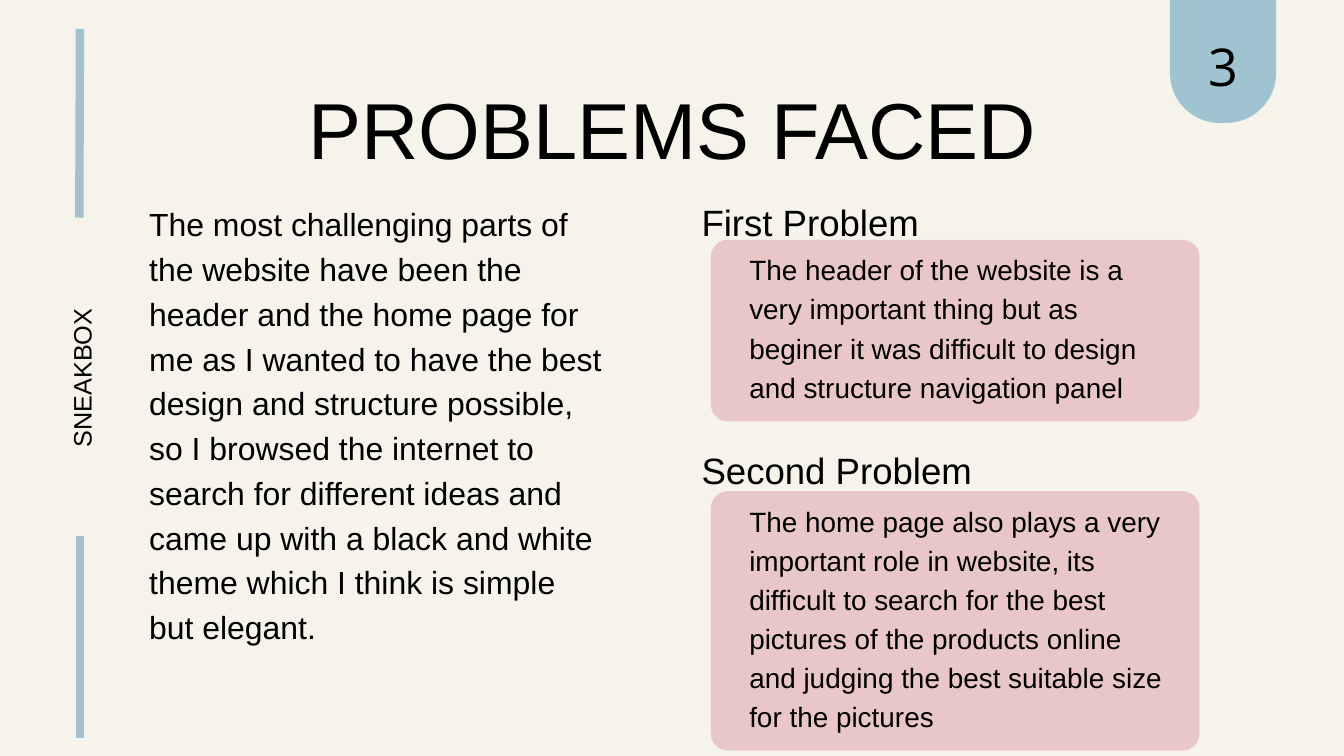
from lxml import etree
from pptx import Presentation
from pptx import util as u
from pptx.dml.color import RGBColor
from pptx.enum import shapes, text
from pptx.oxml.ns import qn

COLORS = {"paper": "F6F3EB", "ink": "000000", "rose": "E9C7C6", "blue": "9FC3D0"}
COLUMNS, ROWS = 20, 11.25
CELL = u.Inches(1)
LEFT, CENTER = text.PP_ALIGN.LEFT, text.PP_ALIGN.CENTER


def cells(*counts):
    return [u.Emu(round(count * CELL)) for count in counts]


def color(name):
    return RGBColor.from_string(COLORS[name])


def add_text(page, box, words, size, leading, align=LEFT, font="Arial", turn=0):
    label = page.shapes.add_textbox(*cells(*box))
    label.rotation = turn
    frame = label.text_frame
    frame.word_wrap = True
    frame.margin_left = frame.margin_right = frame.margin_top = frame.margin_bottom = 0
    para = frame.paragraphs[0]
    para.alignment = align
    para.line_spacing = u.Pt(leading)
    span = para.add_run()
    span.text = words
    span.font.name = font
    span.font.size = u.Pt(size)
    span.font.color.rgb = color("ink")


def add_panel(page, box, kind, fill, *adjustments):
    panel = page.shapes.add_shape(kind, *cells(*box))
    panel.shadow.inherit = False
    panel.fill.solid()
    panel.fill.fore_color.rgb = color(fill)
    panel.line.fill.background()
    for index, value in enumerate(adjustments):
        panel.adjustments[index] = value


def add_bar(page, start, end):
    bar = page.shapes.add_connector(shapes.MSO_CONNECTOR.STRAIGHT, *cells(*start, *end))
    bar.line.color.rgb = color("blue")
    bar.line.width = u.Pt(9)
    etree.SubElement(bar._element.spPr, qn("a:effectLst"))


def add_sidebar(page, box, name):
    left, top, width, height = box
    right, bottom = left + width, top + height
    add_bar(page, (left, top + 2.81), (right, top))
    add_bar(page, (right, bottom), (right, bottom - 3.01))
    length, depth = 7.53, 0.51
    label = (left - 0.01 - length / 2, ROWS / 2 - depth / 2, length, depth)
    add_text(page, label, name, 27, 37.8, CENTER, turn=270)


def add_problem(page, box, heading, heading_width, rise, words):
    left, top, width, height = box
    add_panel(page, box, shapes.MSO_SHAPE.ROUNDED_RECTANGLE, "rose", 0.25 / height)
    add_text(page, (left + 0.57, top + 0.11, 6.34, height - 0.42), words, 29.9, 41.9)
    add_text(page, (left - 0.14, top - rise, heading_width, 0.73), heading, 39.2, 54.9)


def add_badge(page, box, number):
    left, top, width, height = box
    add_panel(page, box, shapes.MSO_SHAPE.ROUND_2_SAME_RECTANGLE, "blue", 0, 0.47)
    label = (left - 0.07, top + 0.36, width + 0.14, 1.02)
    add_text(page, label, number, 55.8, 78, CENTER, "Open Sans")


def main():
    deck = Presentation()
    deck.slide_width, deck.slide_height = cells(COLUMNS, ROWS)
    page = deck.slides.add_slide(deck.slide_layouts[6])
    page.background.fill.solid()
    page.background.fill.fore_color.rgb = color("paper")

    add_text(page, (4.29, 0.95, 11.43, 1.59), "PROBLEMS FACED", 85, 119, CENTER)
    add_text(
        page, (2.22, 2.95, 6.76, 6.58),
        "The most challenging parts of the website have been the header and the home "
        "page for me as I wanted to have the best design and structure possible, so I "
        "browsed the internet to search for different ideas and came up with a black "
        "and white theme which I think is simple but elegant.",
        34.2, 48,
    )
    add_problem(
        page, (10.58, 3.57, 7.27, 2.7), "First Problem", 4.57, 0.7,
        "The header of the website is a very important thing but as beginer it was "
        "difficult to design and structure navigation panel",
    )
    add_problem(
        page, (10.58, 7.31, 7.27, 3.86), "Second Problem", 5.77, 0.76,
        "The home page also plays a very important role in website, its difficult to "
        "search for the best pictures of the products online and judging the best "
        "suitable size for the pictures",
    )
    add_sidebar(page, (1.18, 0.43, 0.01, 10.55), "SNEAKBOX")
    add_badge(page, (17.41, 0, 1.58, 1.83), "3")
    deck.save("out.pptx")


if __name__ == "__main__":
    main()
